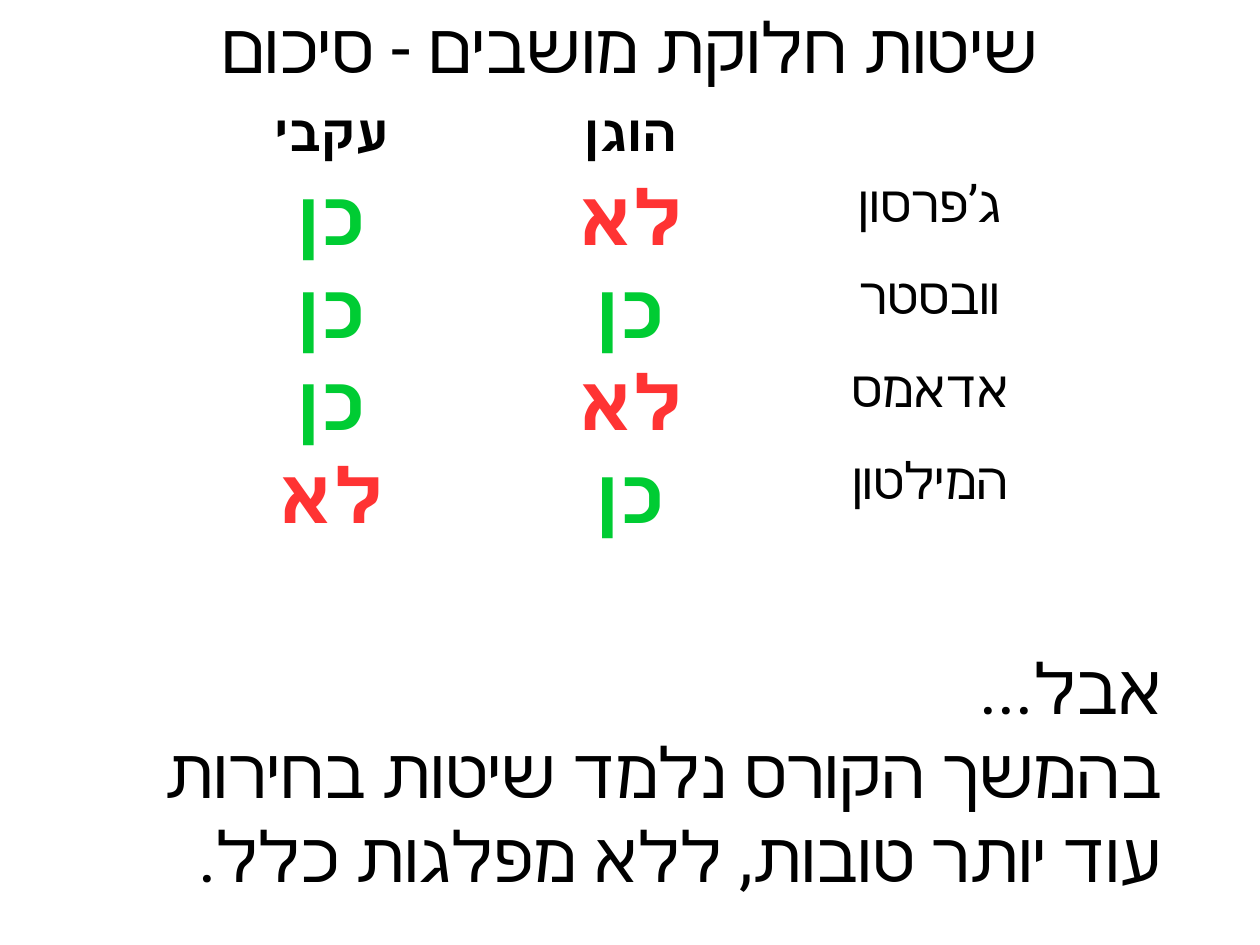
from pptx import Presentation
from pptx.dml.color import RGBColor as Rgb
from pptx.enum.text import MSO_ANCHOR as Anchor, PP_ALIGN as Align
from pptx.oxml.ns import qn
from pptx.util import Emu, Inches, Pt
from lxml.etree import SubElement

# Content
TITLE = "שיטות חלוקת מושבים - סיכום"
HEADS = ["עקבי", "הוגן", ""]
YES, NO = "כן", "לא"
METHODS = [
    (YES, NO, "ג’פרסון"),
    (YES, YES, "וובסטר"),
    (YES, NO, "אדאמס"),
    (NO, YES, "המילטון"),
]
NOTES = ["אבל...", "בהמשך הקורס נלמד שיטות בחירות עוד יותר טובות, ללא מפלגות כלל."]
COLORS = {"text": "000000", YES: "00CC33", NO: "FF3333"}
HEBREW = "Roboto"

PAGE = Emu(10080625), Emu(7559675)  # 28 by 21 cm
WIDE = 11.02
HEAD_H, ROW_H, COL_W = 0.62, 0.8, 2.62


def write(para, text, size, align=Align.CENTER, face="Arial", color="text", bold=False):
    """Fill a right-to-left paragraph in one font."""
    para.text = text
    para.alignment = align
    font = para.font
    font.name, font.size, font.bold = face, Pt(size), bold
    font.color.rgb = Rgb.from_string(COLORS[color])
    props = para._p.get_or_add_pPr()
    props.set("rtl", "1")
    SubElement(props.find(qn("a:defRPr")), qn("a:cs")).set("typeface", HEBREW)


def add_box(slide, left, top, width, height):
    box = slide.shapes.add_textbox(*map(Inches, (left, top, width, height)))
    box.text_frame.word_wrap = True
    return box.text_frame


deck = Presentation()
deck.slide_width, deck.slide_height = PAGE
slide = deck.slides.add_slide(deck.slide_layouts[6])

# Title
frame = add_box(slide, 0, -0.1, WIDE, 1)
frame.vertical_anchor = Anchor.MIDDLE
frame.margin_left = frame.margin_right = frame.margin_top = frame.margin_bottom = 0
write(frame.paragraphs[0], TITLE, 44)

# Table of methods
rows = [HEADS, *METHODS]
total = HEAD_H + ROW_H * len(METHODS)
table = slide.shapes.add_table(
    len(rows), len(HEADS), Inches(1.59), Inches(0.9),
    Inches(COL_W * len(HEADS)), Inches(total)).table
table.first_row = table.horz_banding = False
for col in table.columns:
    col.width = Inches(COL_W)
for r, row in enumerate(rows):
    table.rows[r].height = Inches(ROW_H if r else HEAD_H)
    for c, text in enumerate(row):
        cell = table.cell(r, c)
        cell.fill.background()
        cell.margin_top, cell.margin_bottom = Inches(0.01), 0
        if text in (YES, NO):
            write(cell.text_frame.paragraphs[0], text, 48, color=text, bold=True)
        elif text:
            write(cell.text_frame.paragraphs[0], text, 32, bold=r == 0)

# Closing notes
frame = add_box(slide, 0.79, 5.59, 9.48, 2.32)
for i, text in enumerate(NOTES):
    para = frame.add_paragraph() if i else frame.paragraphs[0]
    write(para, text, 44, Align.RIGHT, "Roboto")

deck.save("out.pptx")
